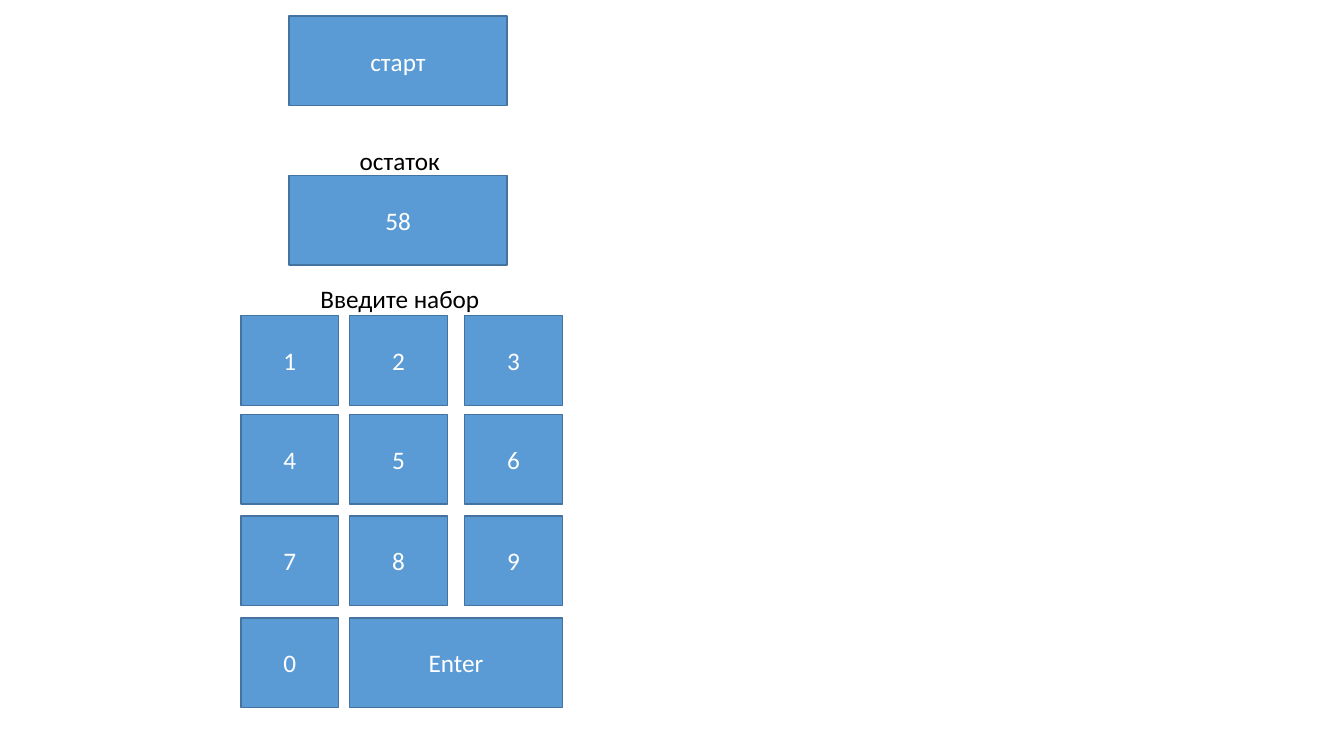
"""Build a slide with a start button, a remainder display and a numeric keypad."""
import pptx
import pptx.dml.color
import pptx.enum.shapes
import pptx.enum.text
import pptx.util

Pt = pptx.util.Pt
RGBColor = pptx.dml.color.RGBColor

BLUE = RGBColor(0x5B, 0x9B, 0xD5)
DARK_BLUE = RGBColor(0x43, 0x73, 0x9E)
WHITE = RGBColor(0xFF, 0xFF, 0xFF)
BLACK = RGBColor(0, 0, 0)

WIDE_BUTTONS = [("старт", 11.5), ("58", 125.3)]
LABELS = [("остаток", 249.8, 100.1, 72.7), ("Введите набор", 221.8, 198.7, 129.6)]
KEYPAD = [["1", "2", "3"], ["4", "5", "6"], ["7", "8", "9"], ["0", "Enter"]]

COLUMN_LEFTS = [172.1, 249.8, 331.9]
ROW_TOPS = [225.4, 295.9, 368.6, 441.4]
KEY_WIDTH = 69.8
BUTTON_HEIGHT = 64.1
WIDE_LEFT, WIDE_WIDTH = 206.6, 155.5
LABEL_HEIGHT = 28.8


def style_text(shape, text, color):
    paragraph = shape.text_frame.paragraphs[0]
    paragraph.text = text
    paragraph.font.name = "Calibri"
    paragraph.font.size = Pt(18)
    paragraph.font.color.rgb = color
    return paragraph


def add_button(slide, text, left, top, width):
    shape = slide.shapes.add_shape(
        pptx.enum.shapes.MSO_SHAPE.RECTANGLE,
        Pt(left), Pt(top), Pt(width), Pt(BUTTON_HEIGHT))
    shape.shadow.inherit = False
    shape.fill.solid()
    shape.fill.fore_color.rgb = BLUE
    shape.line.color.rgb = DARK_BLUE
    shape.line.width = Pt(1)
    shape.text_frame.vertical_anchor = pptx.enum.text.MSO_ANCHOR.MIDDLE
    paragraph = style_text(shape, text, WHITE)
    paragraph.alignment = pptx.enum.text.PP_ALIGN.CENTER


def add_label(slide, text, left, top, width):
    shape = slide.shapes.add_textbox(Pt(left), Pt(top), Pt(width), Pt(LABEL_HEIGHT))
    shape.text_frame.word_wrap = False
    shape.text_frame.auto_size = pptx.enum.text.MSO_AUTO_SIZE.SHAPE_TO_FIT_TEXT
    style_text(shape, text, BLACK)


def add_keypad(slide):
    right = COLUMN_LEFTS[-1] + KEY_WIDTH
    for keys, top in zip(KEYPAD, ROW_TOPS):
        for key, left in zip(keys, COLUMN_LEFTS):
            width = right - left if key == keys[-1] else KEY_WIDTH
            add_button(slide, key, left, top, width)


def main():
    presentation = pptx.Presentation()
    presentation.slide_width = Pt(960)
    presentation.slide_height = Pt(540)
    slide = presentation.slides.add_slide(presentation.slide_layouts[6])
    for text, top in WIDE_BUTTONS:
        add_button(slide, text, WIDE_LEFT, top, WIDE_WIDTH)
    add_keypad(slide)
    for label in LABELS:
        add_label(slide, *label)
    presentation.save("out.pptx")


if __name__ == "__main__":
    main()
